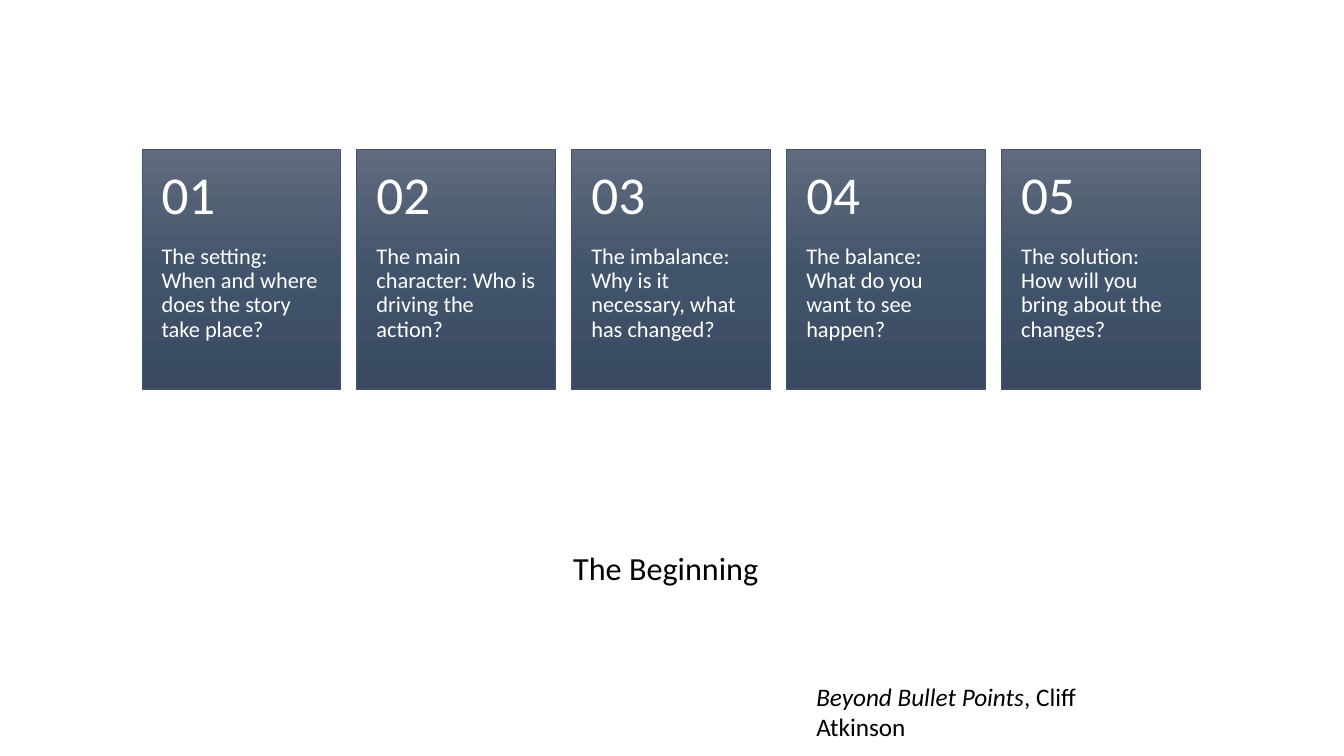
import copy

import pptx
import pptx.dml.color
import pptx.enum.shapes
import pptx.enum.text
import pptx.util

Pt = pptx.util.Pt
ALIGN = pptx.enum.text.PP_ALIGN
ANCHOR = pptx.enum.text.MSO_ANCHOR

QUESTIONS = [
    "The setting: When and where does the story take place?",
    "The main character: Who is driving the action?",
    "The imbalance: Why is it necessary, what has changed?",
    "The balance: What do you want to see happen?",
    "The solution: How will you bring about the changes?",
]
CARD_LEFT, CARD_TOP, CARD_PITCH = 101.4, 107, 153.5
CARD_WIDTH, CARD_HEIGHT, NUMBER_HEIGHT = 142, 171, 68.2
CARD_GRADIENT = [(0, "606B7D"), (0.5, "42546C"), (1, "394A62")]


def rgb(value):
    return pptx.dml.color.RGBColor.from_string(value)


def add_text(slide, runs, left, top, width, height, size, color="000000",
             align=ALIGN.LEFT, anchor=ANCHOR.TOP, spacing=1.0,
             insets=(7.2, 3.6, 7.2, 3.6)):
    """Add a one-paragraph text box; runs are (text, italic) pairs."""
    box = slide.shapes.add_textbox(Pt(left), Pt(top), Pt(width), Pt(height))
    frame = box.text_frame
    frame.word_wrap = True
    frame.vertical_anchor = anchor
    (frame.margin_left, frame.margin_top,
     frame.margin_right, frame.margin_bottom) = map(Pt, insets)
    paragraph = frame.paragraphs[0]
    paragraph.alignment = align
    paragraph.line_spacing = spacing
    for text, italic in runs:
        run = paragraph.add_run()
        run.text = text
        run.font.name = "Calibri"
        run.font.size = Pt(size)
        run.font.italic = italic
        run.font.color.rgb = rgb(color)


def add_panel(slide, left, top, width, height):
    """Add a rectangle shaded from top to bottom."""
    panel = slide.shapes.add_shape(
        pptx.enum.shapes.MSO_SHAPE.RECTANGLE,
        Pt(left), Pt(top), Pt(width), Pt(height))
    panel.shadow.inherit = False
    panel.line.color.rgb = rgb("44546A")
    panel.line.width = Pt(0.5)
    panel.fill.gradient()
    panel.fill.gradient_angle = 270
    # The default gradient has two stops; a third is needed
    stop_list = panel.element.xpath(".//a:gsLst")[0]
    stop_list.append(copy.deepcopy(stop_list[-1]))
    for stop, (position, color) in zip(panel.fill.gradient_stops, CARD_GRADIENT):
        stop.position = position
        stop.color.rgb = rgb(color)


def add_card(slide, index, question):
    left = CARD_LEFT + index * CARD_PITCH
    add_panel(slide, left, CARD_TOP, CARD_WIDTH, CARD_HEIGHT)
    add_text(slide, [(question, False)], left, CARD_TOP + NUMBER_HEIGHT,
             CARD_WIDTH, CARD_HEIGHT - NUMBER_HEIGHT, size=16, color="FFFFFF",
             spacing=0.9, insets=(14, 0, 13, 26))
    add_text(slide, [(f"{index + 1:02}", False)], left, CARD_TOP,
             CARD_WIDTH, NUMBER_HEIGHT, size=38, color="FFFFFF",
             anchor=ANCHOR.MIDDLE, spacing=0.9, insets=(14, 13, 14, 13))


def main():
    deck = pptx.Presentation()
    deck.slide_width, deck.slide_height = Pt(960), Pt(540)
    slide = deck.slides.add_slide(deck.slide_layouts[6])

    # Title, sitting above the middle of its box
    add_text(slide, [("The Beginning", False)], 67.7, 390, 816, 60, size=23,
             align=ALIGN.CENTER, anchor=ANCHOR.MIDDLE, spacing=0.9,
             insets=(7.2, 3.6, 7.2, 29))

    # Source of the story outline
    add_text(slide, [("Beyond Bullet Points", True), (", Cliff Atkinson", False)],
             576, 483, 258, 29, size=18)

    # Five numbered story questions
    for index, question in enumerate(QUESTIONS):
        add_card(slide, index, question)

    deck.save("out.pptx")


if __name__ == "__main__":
    main()
